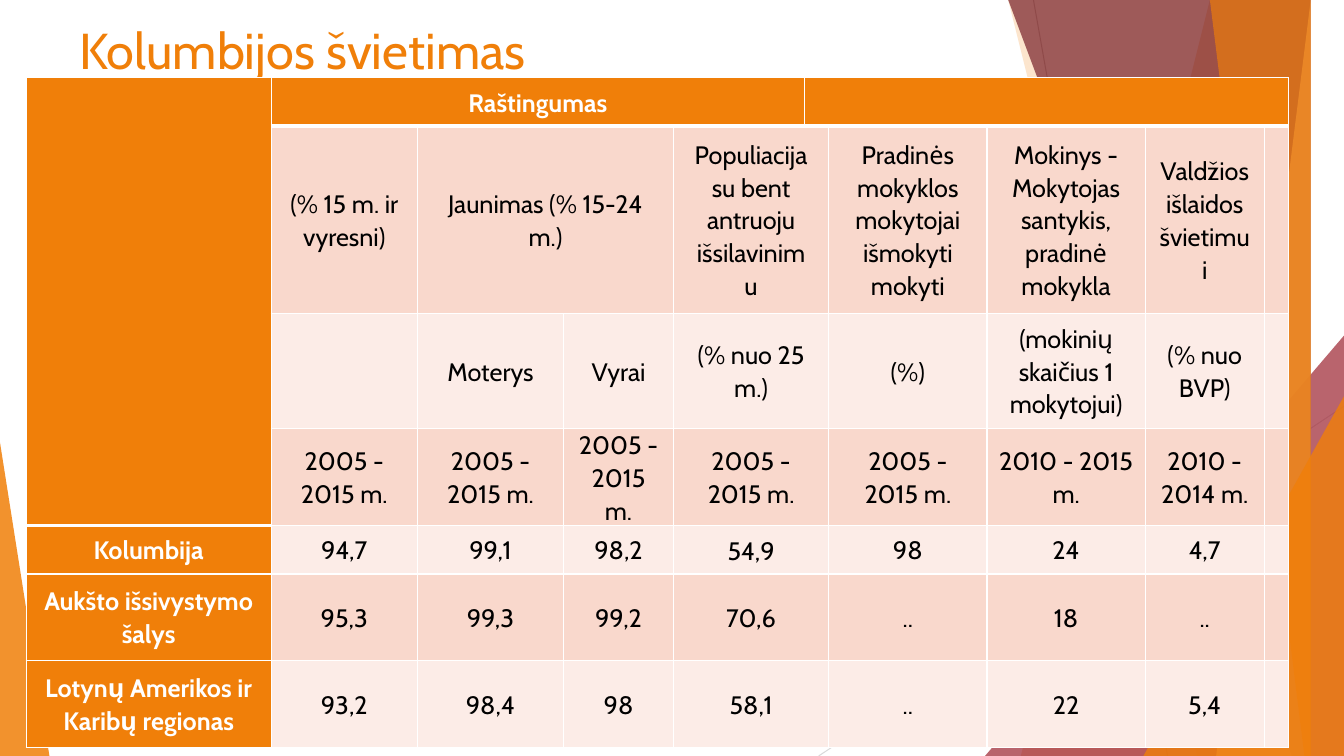
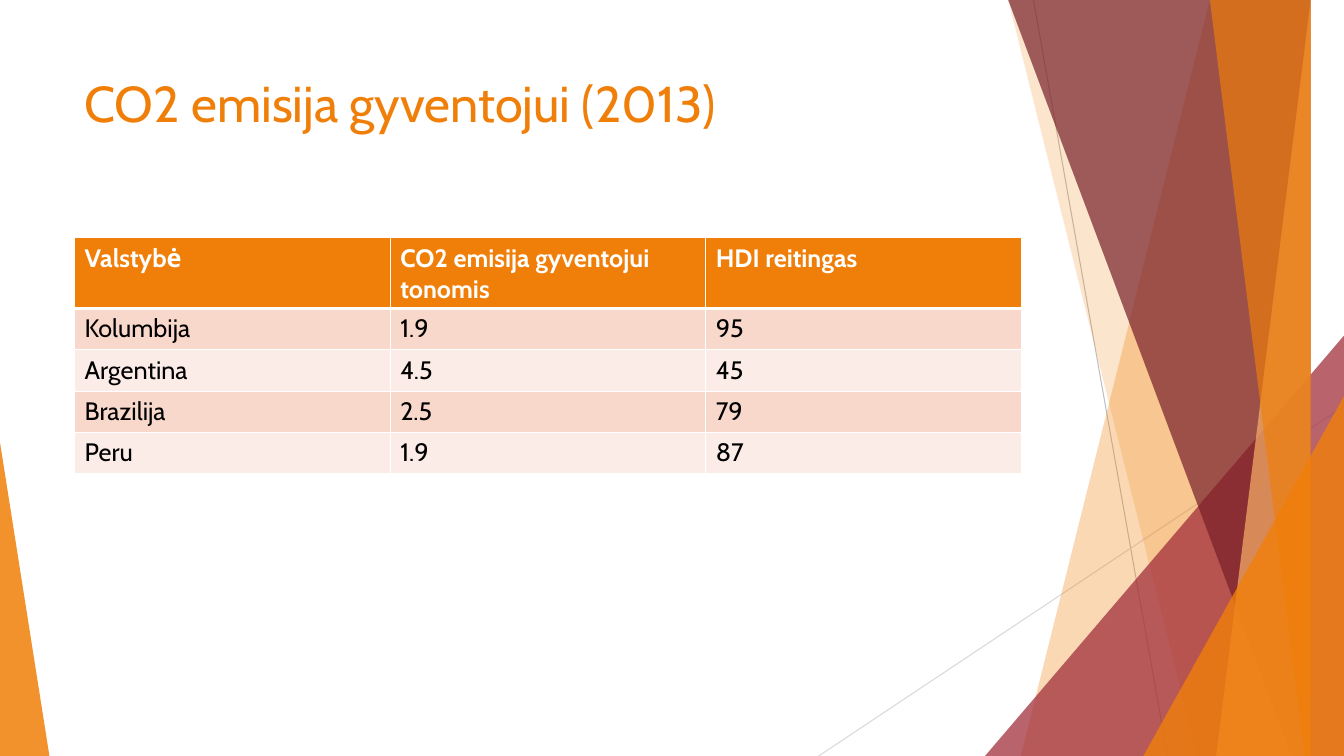
import pptx
import pptx.dml.color
import pptx.enum.shapes
import pptx.enum.text
import pptx.oxml
import pptx.oxml.ns
import pptx.util
from lxml import etree

Inches = pptx.util.Inches
Pt = pptx.util.Pt
qn = pptx.oxml.ns.qn
Align = pptx.enum.text.PP_ALIGN
Anchor = pptx.enum.text.MSO_ANCHOR
Preset = pptx.enum.shapes.MSO_SHAPE
WIDE, HIGH = 13.33, 7.5


def rgb(code):
    return pptx.dml.color.RGBColor.from_string(code)


def apply(target, values):
    """Set each attribute named in values on target."""
    for name, value in values.items():
        setattr(target, name, value)


class Deck:
    """Holds the shared style and the slide being drawn."""
    hues = {"main": "F07F09", "red": "9F2936", "wine": "771F28", "sand": "F9B268",
            "gray": "BFBFBF", "pale": "D9D9D9", "white": "FFFFFF", "black": "000000",
            "light": "FCECE7", "pink": "F9D8CC"}
    tints = ("light", "pink")
    face = "Cabin"
    frame = {"word_wrap": True, "vertical_anchor": Anchor.TOP}
    center = {"alignment": Align.CENTER, "line_spacing": 1.07}
    tight = {"margin_left": Inches(0.12), "margin_right": Inches(0.12),
             "margin_top": 0, "margin_bottom": 0, "vertical_anchor": Anchor.MIDDLE}
    loose = {"margin_left": Inches(0.17), "margin_right": Inches(0.17),
             "margin_top": Inches(0.08), "margin_bottom": Inches(0.08),
             "vertical_anchor": Anchor.MIDDLE}

    def __init__(self):
        self.file = pptx.Presentation()
        apply(self.file, {"slide_width": Inches(WIDE), "slide_height": Inches(HIGH)})
        self.slide = None

    def start(self, text, left, top):
        """Add a slide with the shared backdrop and a title."""
        self.slide = self.file.slides.add_slide(self.file.slide_layouts[6])
        self.backdrop()
        box = self.slide.shapes.add_textbox(*map(Inches, (left, top, 9.4, 1.44)))
        apply(box.text_frame, self.frame)
        self.label(box.text_frame, text, 36, "main")

    def label(self, frame, text, size, hue, bold=False):
        run = frame.paragraphs[0].add_run()
        run.text = text
        apply(run.font, {"size": Pt(size), "name": self.face, "bold": bold})
        run.font.color.rgb = rgb(self.hues[hue])

    def paint(self, shape, hue, alpha):
        """Give a shape a see-through fill, with no line or shadow."""
        shape.shadow.inherit = False
        shape.line.fill.background()
        shape.fill.solid()
        shape.fill.fore_color.rgb = rgb(self.hues[hue])
        color = shape._element.spPr.find(qn("a:solidFill")).find(qn("a:srgbClr"))
        etree.SubElement(color, qn("a:alpha"), val=str(alpha * 1000))

    def line(self, x1, y1, x2, y2, hue):
        kind = pptx.enum.shapes.MSO_CONNECTOR.STRAIGHT
        line = self.slide.shapes.add_connector(kind, *map(Inches, (x1, y1, x2, y2)))
        line.line.width = Pt(0.75)
        line.line.color.rgb = rgb(self.hues[hue])
        etree.SubElement(line._element.spPr, qn("a:effectLst"))

    def blade(self, top, foot, hue, alpha):
        """Draw a band from a slanted edge to the right side of the slide."""
        pen = self.slide.shapes.build_freeform(top, -0.01, scale=Inches(1))
        pen.add_line_segments([(WIDE, -0.01), (WIDE, HIGH), (foot, HIGH)])
        self.paint(pen.convert_to_shape(), hue, alpha)

    def wedge(self, left, top, width, peak, hue, alpha):
        """Draw a triangle that stands on the foot of the slide."""
        area = map(Inches, (left, top, width, HIGH - top))
        shape = self.slide.shapes.add_shape(Preset.ISOSCELES_TRIANGLE, *area)
        shape.adjustments[0] = peak
        self.paint(shape, hue, alpha)

    def backdrop(self):
        self.line(10.25, 0, 11.58, HIGH, "gray")
        self.line(WIDE, 4.03, 8.12, HIGH, "pale")
        self.blade(12.28, 10.04, "main", 30)
        self.blade(10.5, 11.83, "main", 20)
        self.wedge(9.77, 3.33, 3.56, 1, "red", 72)
        self.blade(10.21, 12.91, "wine", 70)
        self.blade(13.03, 11.92, "sand", 70)
        self.blade(11.96, 13.18, "main", 65)
        self.wedge(11.34, 3.93, 1.99, 1, "main", 80)
        self.wedge(0, 4.39, 0.49, 0, "main", 85)

    def edge(self, cell, head):
        """Draw white cell borders, with a thick one under the header."""
        props = cell._tc.get_or_add_tcPr()
        for side in "LRTB":
            if side == "T" and not head:
                continue
            width = Pt(3 if head and side == "B" else 1)
            line = etree.SubElement(props, qn("a:ln" + side), w=str(width))
            fill = etree.SubElement(line, qn("a:solidFill"))
            etree.SubElement(fill, qn("a:srgbClr"), val=self.hues["white"])

    def table(self, left, top, cols, rows, texts, spans=(), side=False):
        """Add a table; side marks a centred one with a header column."""
        area = map(Inches, (left, top, sum(cols), sum(rows)))
        grid = self.slide.shapes.add_table(len(rows), len(cols), *area).table
        apply(grid, {"first_row": False, "horz_banding": False})
        for col, width in zip(grid.columns, cols):
            col.width = Inches(width)
        for row, height in zip(grid.rows, rows):
            row.height = Inches(height)
        for r1, c1, r2, c2 in spans:
            grid.cell(r1, c1).merge(grid.cell(r2, c2))
        for r, line in enumerate(texts):
            for c, text in enumerate(line):
                cell = grid.cell(r, c)
                if cell.is_spanned:
                    continue
                head = r == 0 or (side and c == 0)
                self.edge(cell, r == 0)
                cell.fill.solid()
                hue = "main" if head else self.tints[r % 2]
                cell.fill.fore_color.rgb = rgb(self.hues[hue])
                if not text:
                    continue
                if side:
                    apply(cell, self.loose if cell.is_merge_origin else self.tight)
                    apply(cell.text_frame.paragraphs[0], self.center)
                self.label(cell.text_frame, text, 18, "white" if head else "black", head)


def main():
    deck = Deck()

    deck.start("Kolumbijos švietimas", 0.69, 0.14)
    early, late, last = "2005 - 2015 m.", "2010 - 2015 m.", "2010 - 2014 m."
    texts = [
        ["", "Raštingumas", "", "", "", "", "", "", "", ""],
        ["", "(% 15 m. ir vyresni)", "Jaunimas (% 15-24 m.)", "",
         "Populiacija su bent antruoju išsilavinimu", "",
         "Pradinės mokyklos mokytojai išmokyti mokyti",
         "Mokinys - Mokytojas santykis, pradinė mokykla",
         "Valdžios išlaidos švietimui", ""],
        ["", "", "Moterys", "Vyrai", "(% nuo 25 m.)", "", "(%)",
         "(mokinių skaičius 1 mokytojui)", "(% nuo BVP)", ""],
        ["", early, early, early, early, "", early, late, last, ""],
        ["Kolumbija", "94,7", "99,1", "98,2", "54,9", "", "98", "24", "4,7", ""],
        ["Aukšto išsivystymo šalys", "95,3", "99,3", "99,2", "70,6", "",
         "..", "18", "..", ""],
        ["Lotynų Amerikos ir Karibų regionas", "93,2", "98,4", "98", "58,1", "",
         "..", "22", "5,4", ""],
    ]
    spans = [(0, 0, 3, 0), (0, 1, 0, 4), (0, 5, 0, 9), (1, 2, 1, 3)]
    spans += [(r, 4, r, 5) for r in range(1, len(texts))]
    deck.table(0.26, 0.77,
               [2.43, 1.45, 1.45, 1.09, 1.3, 0.24, 1.57, 1.57, 1.18, 0.24],
               [0.43, 1.86, 1.14, 0.86, 0.43, 0.86, 0.86], texts, spans, side=True)

    deck.start("CO2 emisija gyventojui (2013)", 0.74, 0.67)
    texts = [
        ["Valstybė", "CO2 emisija gyventojui tonomis", "HDI reitingas"],
        ["Kolumbija", "1.9", "95"],
        ["Argentina", "4.5", "45"],
        ["Brazilija", "2.5", "79"],
        ["Peru", "1.9", "87"],
    ]
    deck.table(0.74, 2.36, [3.13] * 3, [0.41] * len(texts), texts)

    deck.file.save("out.pptx")


if __name__ == "__main__":
    main()
